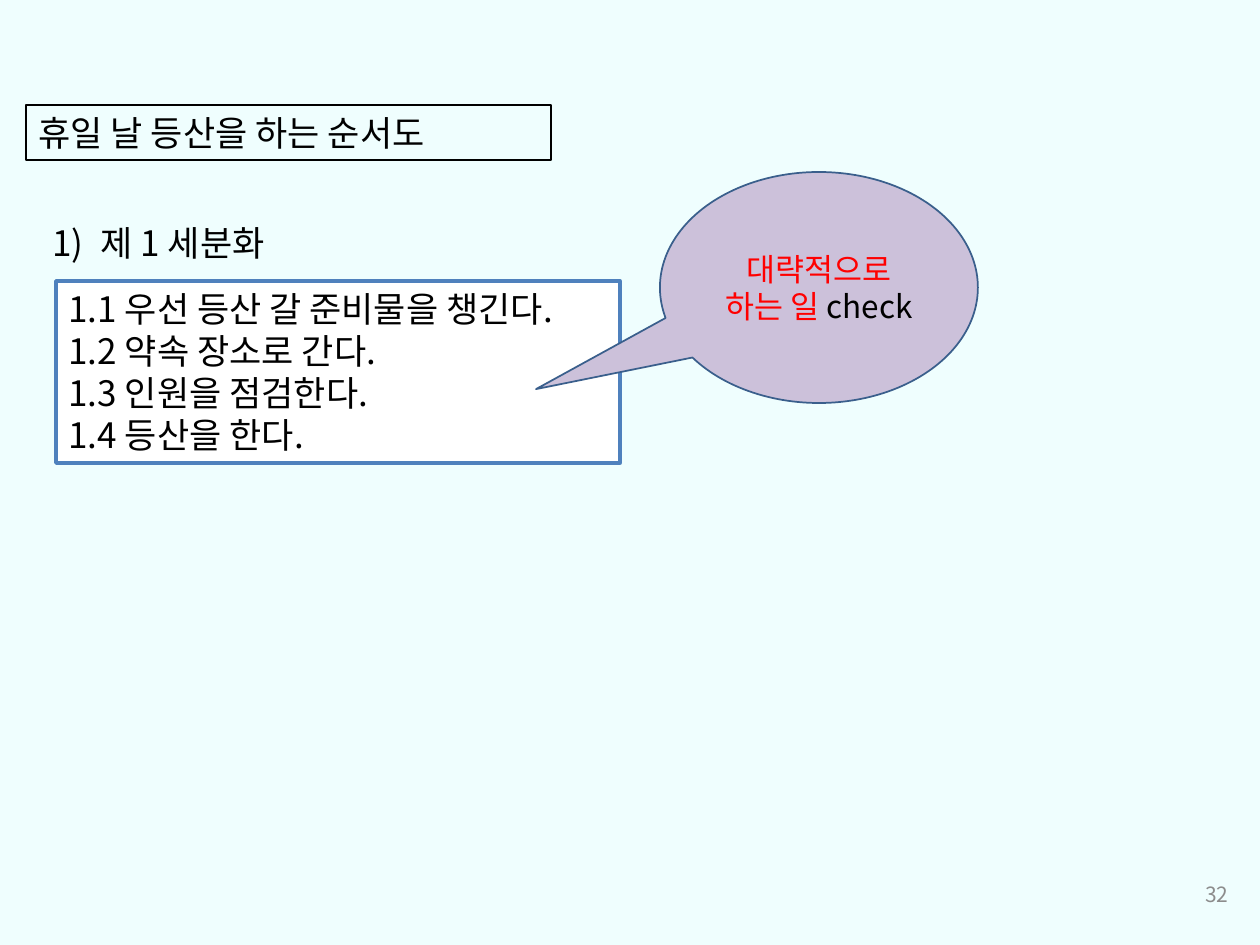
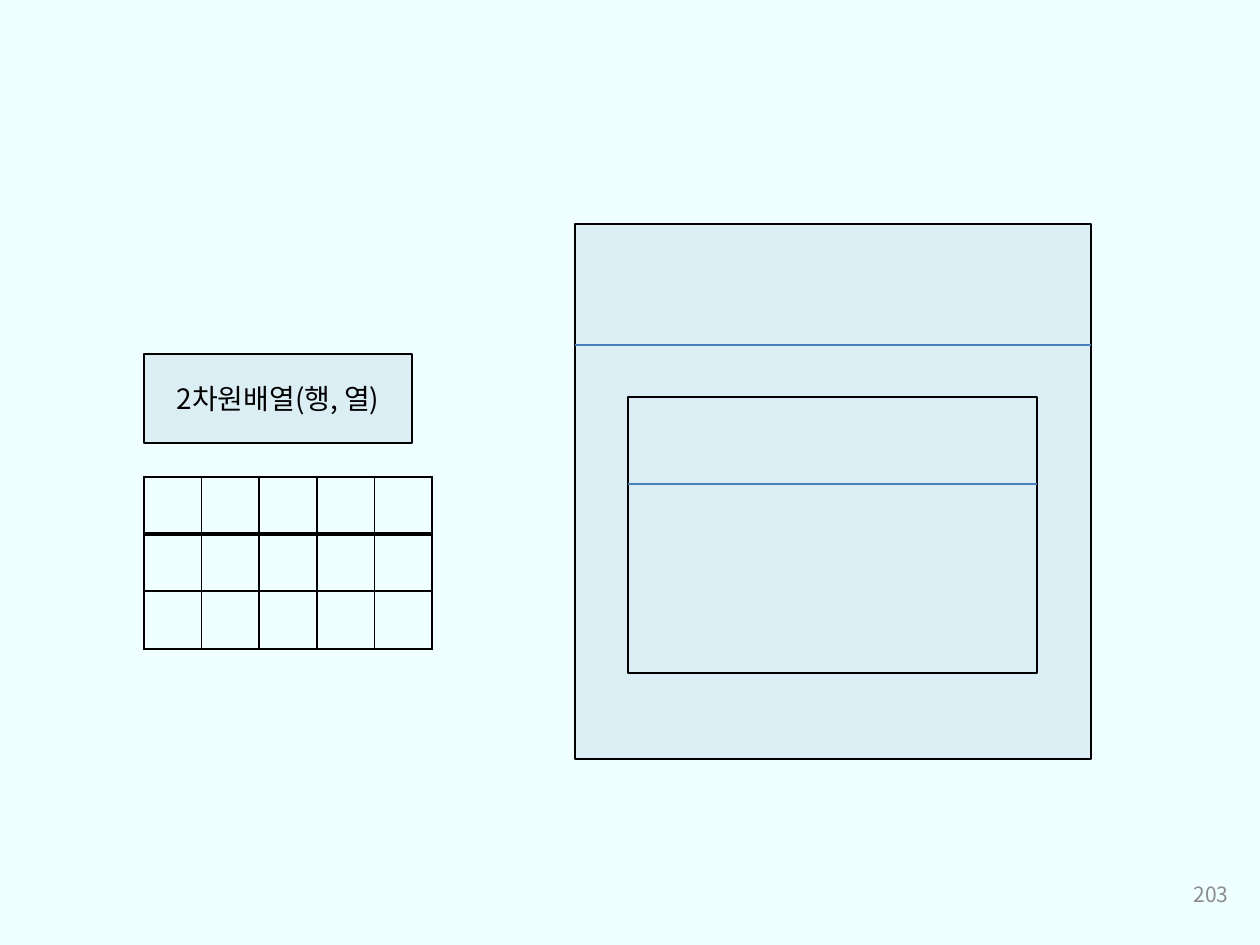
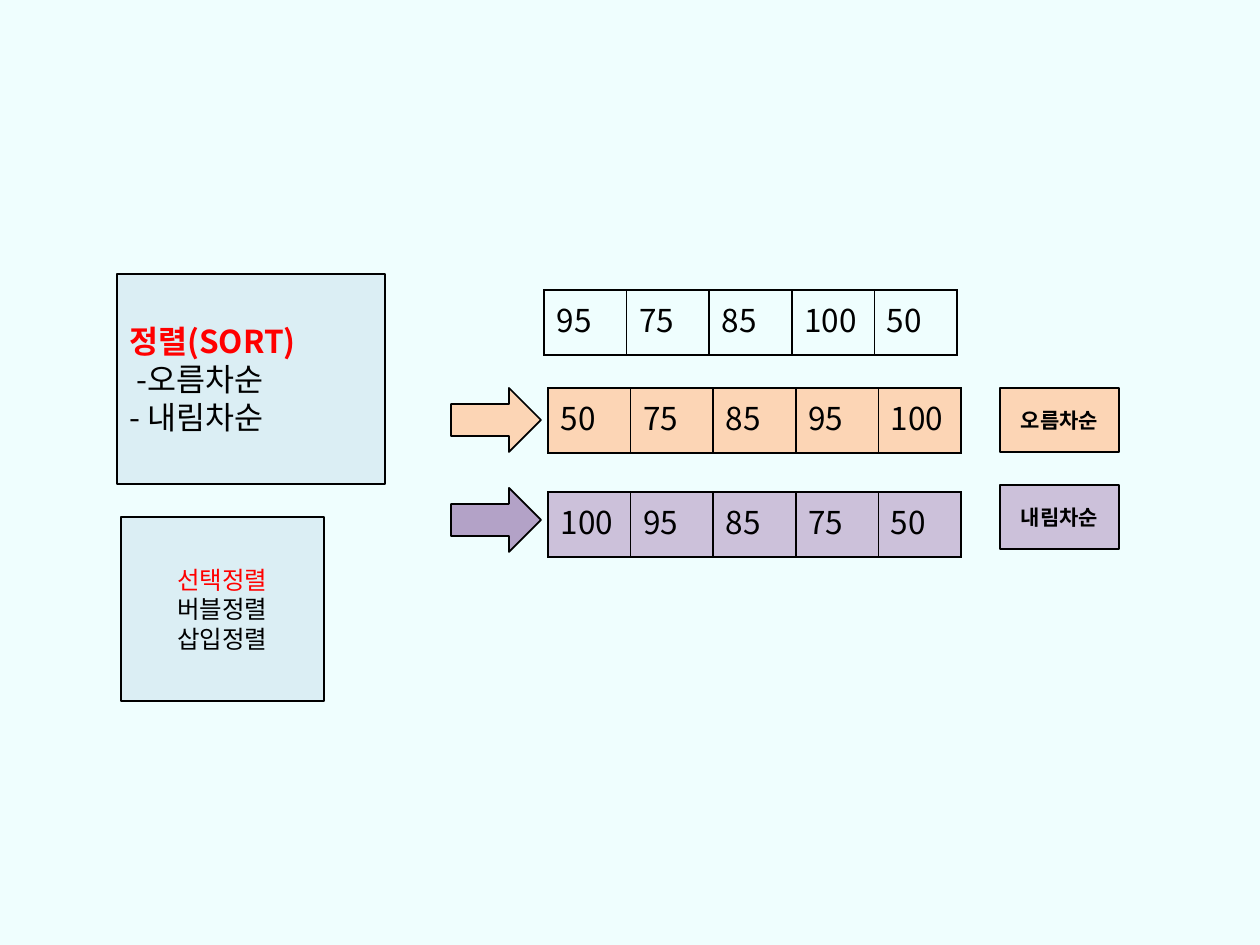
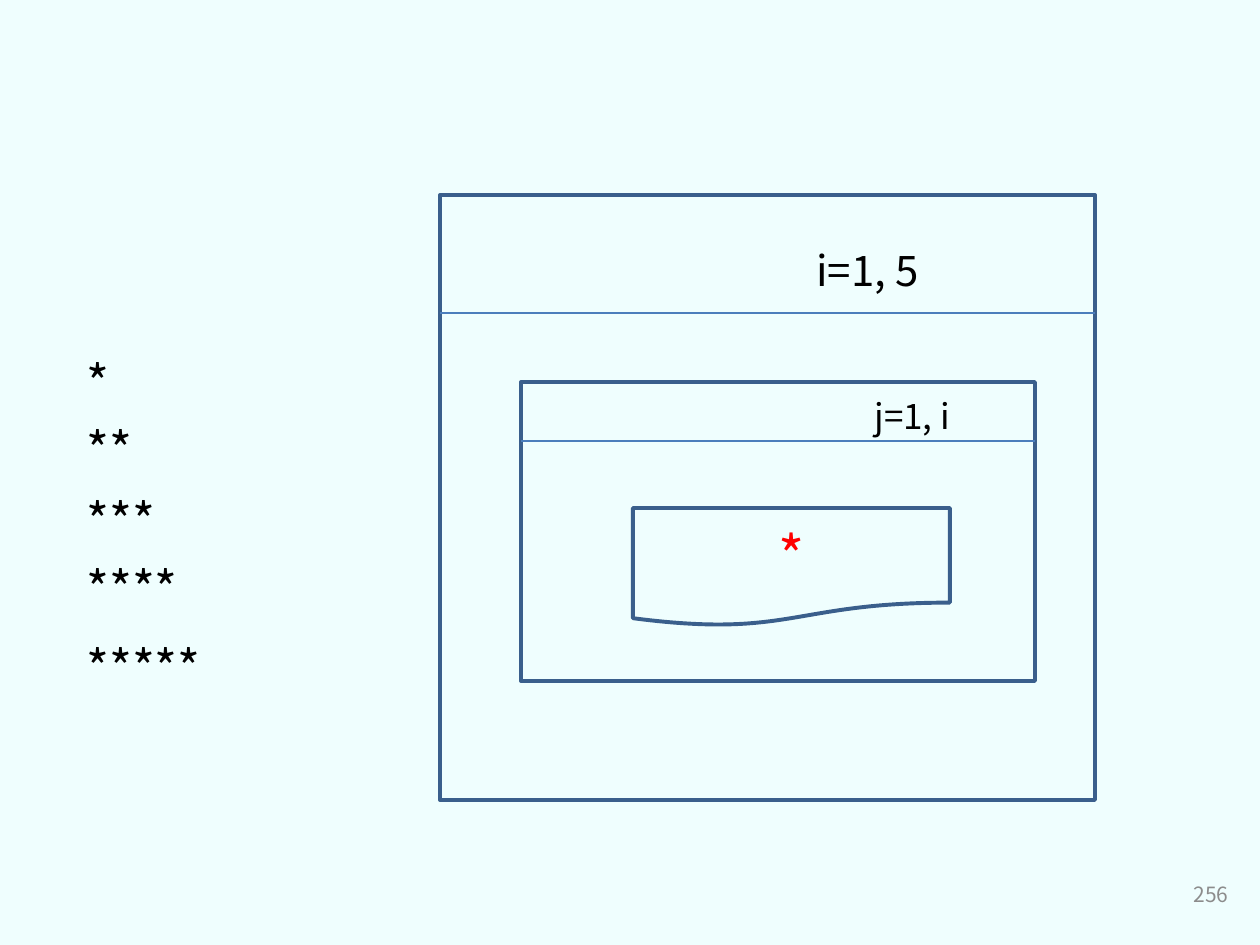
from dataclasses import dataclass

from lxml.etree import SubElement
from pptx import Presentation
from pptx.dml.color import RGBColor
from pptx.enum.shapes import MSO_CONNECTOR as Connector, MSO_SHAPE as Shape
from pptx.enum.text import MSO_ANCHOR as Anchor, MSO_AUTO_SIZE as AutoSize, PP_ALIGN as Align
from pptx.oxml.ns import qn
from pptx.util import Emu, Pt


@dataclass(frozen=True)
class Theme:
    font: str = "Noto Sans CJK KR"
    background: str = "EFFEFE"
    ink: str = "000000"
    accent: str = "FF0000"
    muted: str = "8C8C8C"
    white: str = "FFFFFF"
    pale_blue: str = "DBEEF4"
    peach: str = "FCD5B5"
    lilac: str = "CCC1DA"
    violet: str = "B3A2C7"
    navy: str = "3A5F8C"
    blue: str = "4F81BD"
    divider: str = "4B7EBC"
    note: int = 12
    small: int = 14
    label: int = 16
    body: int = 18
    heading: int = 20
    large: int = 24
    stars: int = 28
    symbol: int = 32


@dataclass(frozen=True)
class Part:
    text: str
    color: str = ""
    bold: bool = False


THEME = Theme()
EMU_PER_PX = 914400 / 126


def px(length):
    return Emu(round(length * EMU_PER_PX))


def rgb(color):
    return RGBColor.from_string(color)


def number_paragraph(paragraph, indent):
    properties = paragraph._p.get_or_add_pPr()
    properties.set("marL", str(px(indent)))
    properties.set("indent", str(-px(indent)))
    SubElement(properties, qn("a:buFont"), typeface="+mj-lt")
    SubElement(properties, qn("a:buAutoNum"), type="arabicParenR")


def write(frame, lines, size=THEME.body, color=THEME.ink, bold=False,
          align=Align.LEFT, anchor=Anchor.TOP, grow=False, number_indent=0):
    frame.word_wrap = True
    frame.vertical_anchor = anchor
    if grow:
        frame.auto_size = AutoSize.SHAPE_TO_FIT_TEXT
    for index, line in enumerate(lines):
        paragraph = frame.add_paragraph() if index else frame.paragraphs[0]
        paragraph.alignment = align
        if number_indent:
            number_paragraph(paragraph, number_indent)
        for part in line if isinstance(line, list) else [line]:
            if isinstance(part, str):
                part = Part(part)
            run = paragraph.add_run()
            run.text = part.text
            run.font.name = THEME.font
            run.font.size = Pt(size)
            run.font.bold = bold or part.bold
            run.font.color.rgb = rgb(part.color or color)
            SubElement(run._r.get_or_add_rPr(), qn("a:ea"), typeface=THEME.font)


def paint(fill, color):
    if color:
        fill.solid()
        fill.fore_color.rgb = rgb(color)
    else:
        fill.background()


def add_shape(shapes, kind, box, fill=None, line=THEME.ink, weight=1, lines=(), **text_format):
    shape = shapes.add_shape(kind, *map(px, box))
    shape.shadow.inherit = False
    paint(shape.fill, fill)
    shape.line.color.rgb = rgb(line)
    shape.line.width = Pt(weight)
    if lines:
        write(shape.text_frame, lines, **text_format)
    return shape


def add_label(slide, box, lines, **text_format):
    label = slide.shapes.add_textbox(*map(px, box))
    write(label.text_frame, lines, **text_format)


def add_page_number(slide, number):
    add_label(slide, (948, 869, 293, 50), [number], size=THEME.note, color=THEME.muted,
              align=Align.RIGHT, anchor=Anchor.MIDDLE)


def add_loop_box(shapes, box, header, **style):
    left, top, width, _ = box
    add_shape(shapes, Shape.RECTANGLE, box, **style)
    divider = shapes.add_connector(Connector.STRAIGHT, px(left), px(top + header),
                                   px(left + width), px(top + header))
    divider.line.color.rgb = rgb(THEME.divider)
    divider.line.width = Pt(0.75)
    SubElement(divider._element.spPr, qn("a:effectLst"))


def add_cell_borders(cell):
    properties = cell._tc.get_or_add_tcPr()
    for side in ("lnL", "lnR", "lnT", "lnB"):
        border = SubElement(properties, qn(f"a:{side}"), w=str(Pt(1)))
        fill = SubElement(border, qn("a:solidFill"))
        SubElement(fill, qn("a:srgbClr"), val=THEME.ink)


def add_array(slide, box, values, fill=None):
    table = slide.shapes.add_table(1, len(values), *map(px, box)).table
    table.first_row = False
    table.horz_banding = False
    for cell, value in zip(table.iter_cells(), values):
        add_cell_borders(cell)
        paint(cell.fill, fill)
        if value:
            write(cell.text_frame, [value])


def build_first_breakdown(slide):
    add_page_number(slide, "32")
    add_shape(slide.shapes, Shape.RECTANGLE, (26, 105, 525, 55), weight=0.75,
              lines=["휴일 날 등산을 하는 순서도"], size=THEME.heading, grow=True)
    add_label(slide, (40, 215, 370, 55), ["제 1 세분화"], size=THEME.heading,
              grow=True, number_indent=48)
    steps = ["1.1 우선 등산 갈 준비물을 챙긴다.", "1.2 약속 장소로 간다.",
             "1.3 인원을 점검한다.", "1.4 등산을 한다."]
    add_shape(slide.shapes, Shape.RECTANGLE, (56, 281, 564, 182), fill=THEME.white,
              line=THEME.blue, weight=2, lines=steps, size=THEME.heading, grow=True)
    callout = add_shape(slide.shapes, Shape.OVAL_CALLOUT, (660, 172, 318, 231),
                        fill=THEME.lilac, line=THEME.navy,
                        lines=[[Part("대략적으로 하는 일 ", THEME.accent), "check"]],
                        align=Align.CENTER, anchor=Anchor.MIDDLE)
    callout.adjustments[0] = -0.89
    callout.adjustments[1] = 0.44


def build_two_dimensional_array(slide):
    add_shape(slide.shapes, Shape.RECTANGLE, (144, 354, 268, 89), fill=THEME.pale_blue,
              lines=["2차원배열(행, 열)"], size=THEME.label,
              align=Align.CENTER, anchor=Anchor.MIDDLE)
    loops = slide.shapes.add_group_shape().shapes
    add_loop_box(loops, (575, 224, 516, 535), 121, fill=THEME.pale_blue)
    add_loop_box(loops, (628, 397, 409, 276), 87, fill=THEME.pale_blue)
    for top in (477, 533, 591):
        add_array(slide, (144, top, 288, 58), [""] * 5)
    add_page_number(slide, "203")


def build_sorting(slide):
    add_shape(slide.shapes, Shape.RECTANGLE, (117, 274, 268, 210), fill=THEME.pale_blue,
              lines=[Part("정렬(SORT)", THEME.accent, True), " -오름차순", "- 내림차순"],
              anchor=Anchor.MIDDLE)
    add_shape(slide.shapes, Shape.RECTANGLE, (121, 517, 203, 184), fill=THEME.pale_blue,
              lines=[Part("선택정렬", THEME.accent), "버블정렬", "삽입정렬"],
              size=THEME.small, align=Align.CENTER, anchor=Anchor.MIDDLE)
    scores = [95, 75, 85, 100, 50]
    ascending = sorted(scores)
    arrays = [(544, 290, scores, None), (548, 388, ascending, THEME.peach),
              (548, 492, ascending[::-1], THEME.lilac)]
    for left, top, values, fill in arrays:
        add_array(slide, (left, top, 413, 65), list(map(str, values)), fill)
    for top, name, fill in ((388, "오름차순", THEME.peach), (485, "내림차순", THEME.lilac)):
        add_shape(slide.shapes, Shape.RECTANGLE, (1000, top, 119, 64), fill=fill, lines=[name],
                  size=THEME.note, bold=True, align=Align.CENTER, anchor=Anchor.MIDDLE)
    for top, fill in ((388, THEME.peach), (488, THEME.violet)):
        add_shape(slide.shapes, Shape.RIGHT_ARROW, (451, top, 90, 64), fill=fill)


def build_star_loops(slide):
    add_page_number(slide, "256")
    outline = dict(line=THEME.navy, weight=2.25)
    for box, header in (((440, 195, 655, 605), 118), ((521, 382, 514, 299), 59)):
        add_loop_box(slide.shapes.add_group_shape().shapes, box, header, **outline)
    add_label(slide, (804, 238, 348, 63), ["i=1, 5"], size=THEME.large, grow=True)
    add_label(slide, (862, 388, 348, 55), ["j=1, i"], size=THEME.heading, grow=True)
    add_shape(slide.shapes, Shape.FLOWCHART_DOCUMENT, (633, 508, 317, 118), lines=["*"],
              size=THEME.symbol, color=THEME.accent, align=Align.CENTER,
              anchor=Anchor.MIDDLE, **outline)
    for count, top in enumerate((346, 413, 484, 552, 631), start=1):
        add_label(slide, (74, top, 297, 72), ["*" * count], size=THEME.stars, grow=True)


def main():
    presentation = Presentation()
    presentation.slide_width = px(1260)
    presentation.slide_height = px(945)
    paint(presentation.slide_master.background.fill, THEME.background)
    blank = presentation.slide_layouts[6]
    for build in (build_first_breakdown, build_two_dimensional_array,
                  build_sorting, build_star_loops):
        build(presentation.slides.add_slide(blank))
    presentation.save("out.pptx")


if __name__ == "__main__":
    main()
